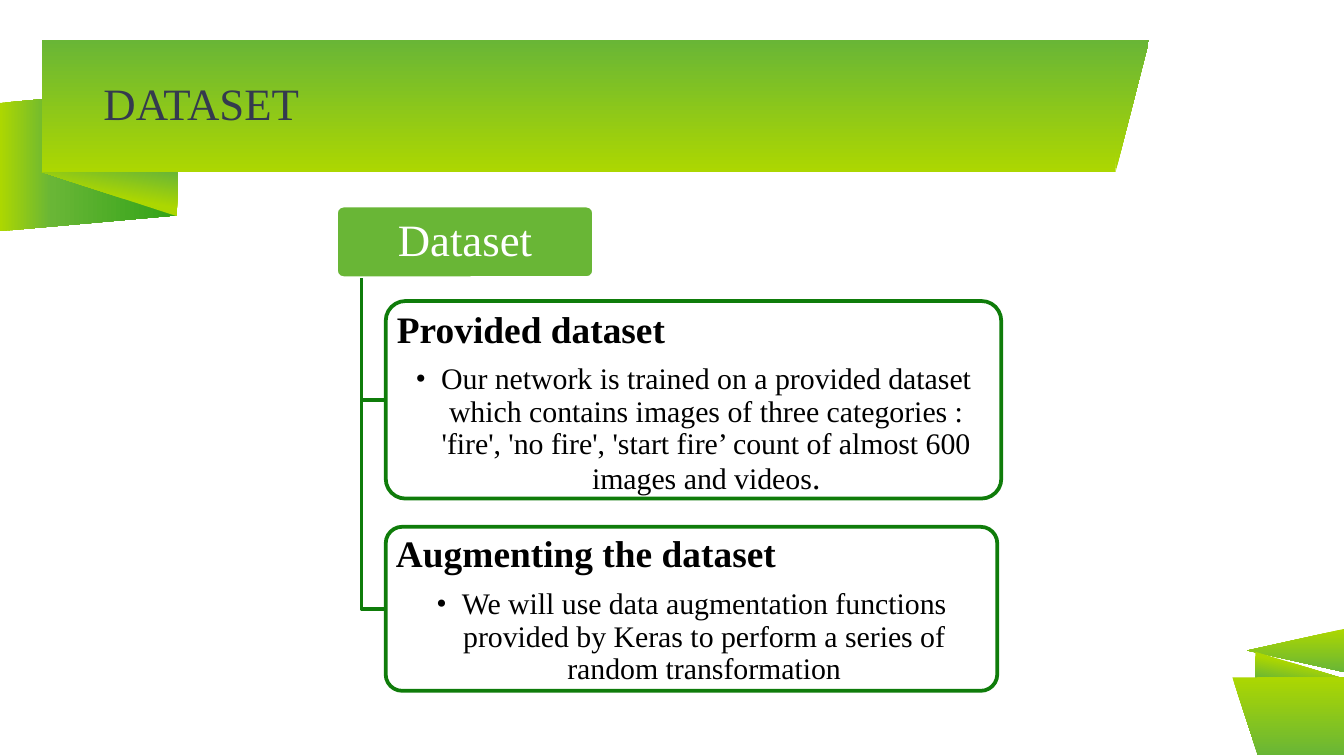
from lxml.etree import SubElement
from pptx import Presentation
from pptx.dml.color import RGBColor
from pptx.enum.shapes import MSO_SHAPE
from pptx.enum.text import MSO_ANCHOR, PP_ALIGN
from pptx.oxml import parse_xml
from pptx.oxml.ns import nsdecls, qn
from pptx.util import Inches, Pt

FONT = "Times New Roman"
LIME, LEAF, GREEN, BORDER = "ACD701", "69B636", "32A318", "0F7C0A"
FADE = [(0, LIME), (100, LEAF)]
FOLD = [(0, LIME), (47, LIME), (100, LEAF)]
TAIL = [(0, LIME), (29, LEAF), (100, GREEN)]

# preset, (left, top, width, height), rotation, flipped, adjustment, stops, angle
RIBBONS = [
    (MSO_SHAPE.PARALLELOGRAM, (0.12, 0.53, 1.07, 1.31), 270, True, 0.109, TAIL, 90),
    (MSO_SHAPE.RIGHT_TRIANGLE, (0.31, 1.28, 1.01, 0.33), 180, False, None, FOLD, 100),
    (MSO_SHAPE.RECTANGLE, (0.31, 0.3, 7.99, 0.98), 180, True, None, FADE, 90),
    (MSO_SHAPE.ISOSCELES_TRIANGLE, (8.3, 0.3, 0.25, 0.98), 180, False, 1, FADE, 90),
    (MSO_SHAPE.ISOSCELES_TRIANGLE, (9.48, 4.48, 0.32, 0.72), 270, False, 0.5, FADE, 180),
    (MSO_SHAPE.RIGHT_TRIANGLE, (9.34, 4.85, 0.66, 0.2), 0, False, None, FOLD, 100),
    (MSO_SHAPE.RECTANGLE, (9.35, 5.04, 0.65, 0.58), 180, False, None, FADE, 270),
    (MSO_SHAPE.ISOSCELES_TRIANGLE, (9.17, 5.04, 0.19, 0.58), 180, True, 1, FADE, 270),
]
TITLE = "DATASET"
ROOT = "Dataset"
ROOT_BOX = (2.5, 1.53, 1.92, 0.54)
BRANCH_X, TRUNK_X = 2.87, 2.69
# top, width, height, heading, [(text, size)]
BRANCHES = [
    (2.24, 4.58, 1.47, "Provided dataset",
     [("Our network is trained on a provided dataset which contains images of "
       "three categories : 'fire', 'no fire', 'start fire’ count of almost 600 "
       "images and videos", 16), (".", 18)]),
    (3.92, 4.55, 1.22, "Augmenting the dataset",
     [("We will use data augmentation functions provided by Keras to perform "
       "a series of random transformation", 16)]),
]


def rgb(color):
    return RGBColor.from_string(color)


def add_shape(slide, preset, box, adjustment=None):
    sp = slide.shapes.add_shape(preset, *map(Inches, box))
    sp.shadow.inherit = False
    if adjustment is not None:
        sp.adjustments[0] = adjustment
    return sp


def set_gradient(sp, stops, angle):
    """Replace the fill by a linear gradient, angle clockwise in degrees."""
    gs = "".join(f'<a:gs pos="{pos * 1000}"><a:srgbClr val="{color}"/></a:gs>'
                 for pos, color in stops)
    sp_pr = sp._element.spPr
    sp_pr.find(qn("a:prstGeom")).addnext(parse_xml(
        f'<a:gradFill {nsdecls("a")} rotWithShape="1"><a:gsLst>{gs}</a:gsLst>'
        f'<a:lin ang="{angle * 60000}" scaled="0"/></a:gradFill>'))


def add_ribbon(slide, preset, box, rotation, flipped, adjustment, stops, angle):
    sp = add_shape(slide, preset, box, adjustment)
    sp.rotation = rotation
    if flipped:
        sp._element.spPr.xfrm.set("flipH", "1")
    set_gradient(sp, stops, angle)
    sp.line.fill.background()


def set_line(sp, color):
    sp.line.color.rgb = rgb(color)
    sp.line.width = Pt(2)


def add_box(slide, box, fill, line):
    sp = add_shape(slide, MSO_SHAPE.ROUNDED_RECTANGLE, box, 0.1)
    sp.fill.solid()
    sp.fill.fore_color.rgb = rgb(fill)
    set_line(sp, line)
    return sp


def set_frame(tf, anchor, side, top):
    tf.word_wrap = True
    tf.vertical_anchor = anchor
    tf.margin_left = tf.margin_right = Inches(side)
    tf.margin_top = tf.margin_bottom = Inches(top)


def format_paragraph(p, align, color, size=None, bold=False, after=0):
    p.alignment = align
    p.line_spacing = 0.9
    p.space_after = Pt(after)
    p.font.name = FONT
    p.font.size = Pt(size) if size else None
    p.font.bold = bold
    p.font.color.rgb = rgb(color)


def add_bullet(p):
    p_pr = p._p.get_or_add_pPr()
    p_pr.set("marL", str(Inches(0.19)))
    p_pr.set("indent", str(-Inches(0.19)))
    SubElement(p_pr, qn("a:buFont")).set("typeface", FONT)
    SubElement(p_pr, qn("a:buChar")).set("char", "•")


def add_elbow(slide, end_y):
    start = ROOT_BOX[1] + ROOT_BOX[3]
    builder = slide.shapes.build_freeform(Inches(TRUNK_X), Inches(start))
    builder.add_line_segments(
        [(Inches(TRUNK_X), Inches(end_y)), (Inches(BRANCH_X), Inches(end_y))],
        close=False)
    sp = builder.convert_to_shape()
    sp.shadow.inherit = False
    sp.fill.background()
    set_line(sp, BORDER)


def add_branch(slide, top, width, height, heading, body):
    add_elbow(slide, top + height / 2)
    sp = add_box(slide, (BRANCH_X, top, width, height), "FFFFFF", BORDER)
    color = sp._element.spPr.find(qn("a:solidFill"))[0]
    SubElement(color, qn("a:alpha")).set("val", "90000")
    tf = sp.text_frame
    set_frame(tf, MSO_ANCHOR.TOP, 0.04, 0.03)
    p = tf.paragraphs[0]
    p.text = heading
    format_paragraph(p, PP_ALIGN.LEFT, "000000", 20, True, after=7)
    p = tf.add_paragraph()
    p.level = 1
    add_bullet(p)
    format_paragraph(p, PP_ALIGN.CENTER, "000000", 16)
    for text, size in body:
        r = p.add_run()
        r.text = text
        r.font.size = Pt(size)


prs = Presentation()
prs.slide_width = Inches(10)
prs.slide_height = prs.slide_width * 9 // 16
s = prs.slides.add_slide(prs.slide_layouts[5])

for ribbon in RIBBONS:
    add_ribbon(s, *ribbon)

title = s.shapes.title
s.shapes._spTree.append(title._element)  # in front of the ribbon
title.left, title.top, title.width, title.height = map(Inches, (0.77, 0.3, 7.29, 0.98))
title.text = TITLE
set_frame(title.text_frame, MSO_ANCHOR.MIDDLE, 0, 0)
format_paragraph(title.text_frame.paragraphs[0], PP_ALIGN.LEFT, "343A4E", 24)

root = add_box(s, ROOT_BOX, LEAF, "FFFFFF")
set_frame(root.text_frame, MSO_ANCHOR.MIDDLE, 0.05, 0.03)
root.text_frame.text = ROOT
format_paragraph(root.text_frame.paragraphs[0], PP_ALIGN.CENTER, "FFFFFF", 24)

for branch in BRANCHES:
    add_branch(s, *branch)

prs.save("out.pptx")
